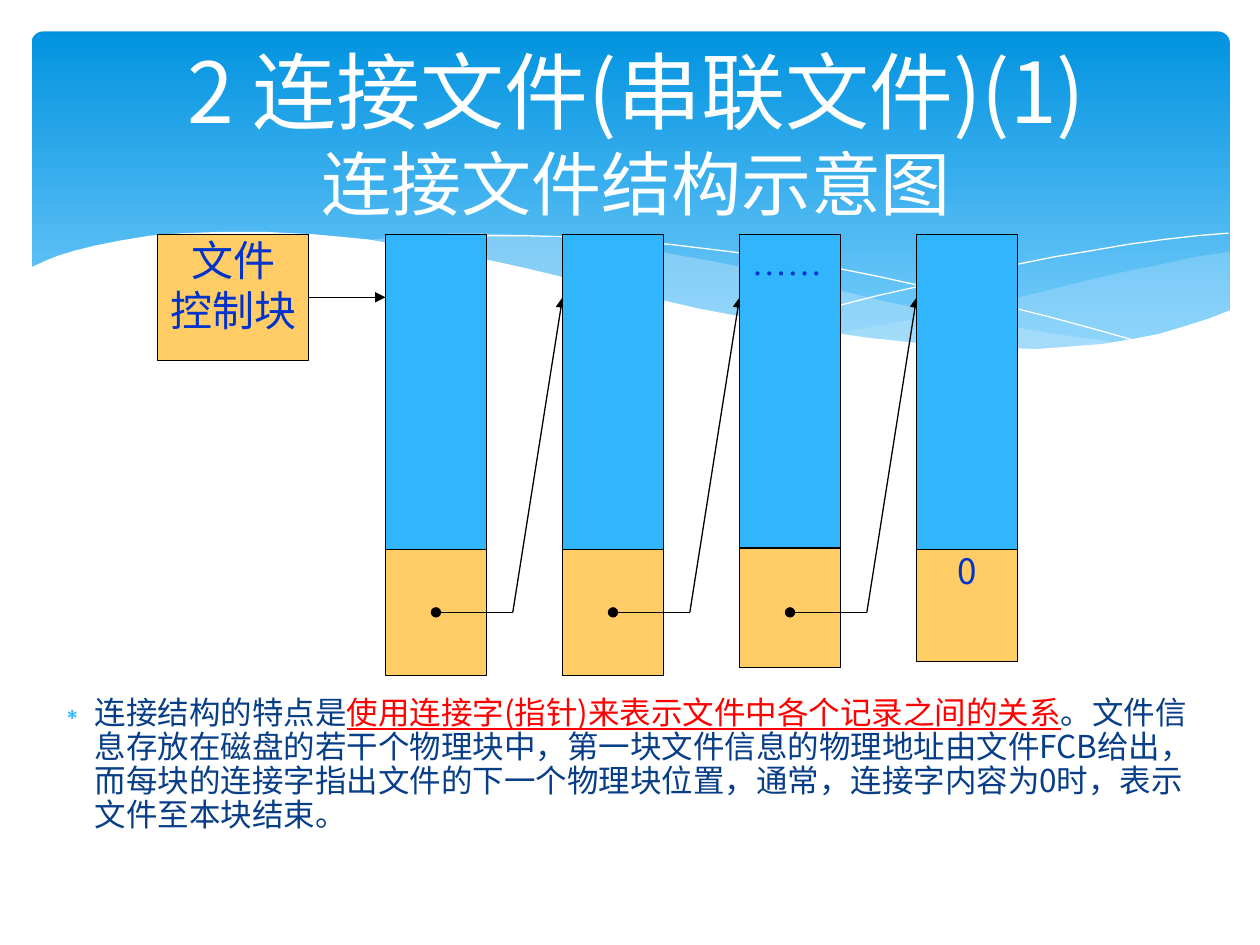
from lxml import etree
from pptx import Presentation
from pptx.dml.color import RGBColor
from pptx.enum.shapes import MSO_CONNECTOR, MSO_SHAPE
from pptx.enum.text import MSO_ANCHOR, MSO_AUTO_SIZE, PP_ALIGN
from pptx.oxml.ns import qn
from pptx.util import Inches, Pt

RECT, ROUNDED = MSO_SHAPE.RECTANGLE, MSO_SHAPE.ROUNDED_RECTANGLE
STRAIGHT = MSO_CONNECTOR.STRAIGHT
LEFT, CENTER, JUSTIFY = PP_ALIGN.LEFT, PP_ALIGN.CENTER, PP_ALIGN.JUSTIFY
TOP, MIDDLE = MSO_ANCHOR.TOP, MSO_ANCHOR.MIDDLE
NO_FIT = MSO_AUTO_SIZE.NONE

WHITE = RGBColor(0xFF, 0xFF, 0xFF)
BLACK = RGBColor(0, 0, 0)
RED = RGBColor(0xFF, 0, 0)
NAVY = RGBColor(0x07, 0x3E, 0x87)
INK = RGBColor(0x00, 0x33, 0xCC)
ORANGE = RGBColor(0xFF, 0xCC, 0x66)
SKY = RGBColor(0x31, 0xB6, 0xFD)
PALE = RGBColor(0xC6, 0xE7, 0xFC)
BAND_TOP = RGBColor(0x02, 0x93, 0xE0)
BAND_BOTTOM = RGBColor(0x83, 0xD3, 0xFE)

SANS, SERIF = "Noto Sans CJK JP", "Times New Roman"

RIGHT_WAVE = [
    (9.75, 2), (9.48, 2.04), (9.21, 2.1), (8.91, 2.16), (8.61, 2.23), (8.05, 2.37),
    (7.53, 2.48), (7.06, 2.57), (6.61, 2.65), (6.91, 2.69), (7.18, 2.73), (7.45, 2.75),
    (7.69, 2.77), (8.03, 2.78), (8.35, 2.77), (8.63, 2.75), (8.89, 2.72), (9.13, 2.67),
    (9.35, 2.62), (9.49, 2.57), (9.63, 2.52), (9.76, 2.47), (9.76, 2)]
MIDDLE_WAVE = [
    (8.93, 2.73), (8.66, 2.69), (8.37, 2.65), (8.07, 2.6), (7.75, 2.54), (7.41, 2.47),
    (7.06, 2.4), (6.68, 2.31), (6.29, 2.22), (5.98, 2.14), (5.69, 2.08), (5.41, 2.03),
    (5.14, 1.98), (4.89, 1.94), (4.64, 1.91), (4.41, 1.89), (4.2, 1.87), (3.99, 1.86),
    (3.8, 1.85), (3.61, 1.85), (3.28, 1.87), (2.86, 1.91), (3.23, 1.96), (3.62, 2.03),
    (4.04, 2.11), (4.49, 2.22), (4.91, 2.32), (5.3, 2.4), (5.66, 2.48), (6.01, 2.55),
    (6.34, 2.61), (6.65, 2.66), (6.95, 2.7), (7.22, 2.74), (7.48, 2.76), (7.73, 2.78),
    (8.07, 2.79), (8.38, 2.78), (8.67, 2.76), (8.93, 2.73)]
FALLING_LINE = [
    (3.09, 1.95), (3.28, 1.92), (3.53, 1.89), (3.87, 1.87), (4.16, 1.87), (4.5, 1.88),
    (4.89, 1.9), (5.32, 1.94), (5.82, 2), (6.08, 2.04), (6.36, 2.08), (6.65, 2.13),
    (6.95, 2.19), (7.27, 2.26), (7.6, 2.33), (7.95, 2.42), (8.31, 2.51), (8.68, 2.61),
    (9.07, 2.72)]
RISING_LINE = [
    (6.13, 2.57), (6.52, 2.46), (6.95, 2.35), (7.48, 2.23), (8.06, 2.1), (8.36, 2.04),
    (8.66, 1.99), (8.95, 1.94), (9.24, 1.9), (9.51, 1.87), (9.75, 1.85)]
WHITE_WAVE = [
    (9.77, 2.46), (9.59, 2.53), (9.4, 2.59), (9.2, 2.65), (8.99, 2.69), (8.75, 2.73),
    (8.5, 2.75), (8.23, 2.77), (7.93, 2.76), (7.61, 2.75), (7.26, 2.72), (6.88, 2.68),
    (6.47, 2.62), (6.03, 2.54), (5.55, 2.45), (5.03, 2.33), (4.47, 2.2), (4.18, 2.13),
    (3.91, 2.07), (3.65, 2.02), (3.39, 1.97), (3.15, 1.94), (2.92, 1.9), (2.71, 1.88),
    (2.5, 1.86), (2.3, 1.85), (2.11, 1.84), (1.76, 1.84), (1.46, 1.85), (1.19, 1.87),
    (0.95, 1.91), (0.75, 1.95), (0.59, 1.99), (0.46, 2.03), (0.36, 2.07), (0.23, 2.13),
    (0.23, 3.29), (9.77, 3.29)]


def add_text(p, text, size=18, font=SANS, color=INK, underline=False):
    r = p.add_run()
    r.text = text
    r.font.size, r.font.name = Pt(size), font
    r.font.color.rgb = color
    r.font.underline = underline
    latin = r.font._element.find(qn("a:latin"))
    latin.addnext(latin.makeelement(qn("a:ea"), {"typeface": font}))


def add_box(slide, x, y, w, h, color, lines=(), align=CENTER, inset=(0, 0), **fmt):
    sp = slide.shapes.add_shape(RECT, Inches(x), Inches(y), Inches(w), Inches(h))
    sp.shadow.inherit = False
    sp.fill.solid()
    sp.fill.fore_color.rgb = color
    sp.line.color.rgb = BLACK
    sp.line.width = Pt(0.75)
    tf = sp.text_frame
    tf.vertical_anchor = TOP
    tf.margin_left = tf.margin_right = Inches(inset[0])
    tf.margin_top = tf.margin_bottom = Inches(inset[1])
    for i, line in enumerate(lines):
        p = tf.add_paragraph() if i else tf.paragraphs[0]
        p.alignment = align
        add_text(p, line, **fmt)


def add_line(slide, start, end, **ends):
    """Draw a line; headEnd or tailEnd names the mark at its start or end."""
    c = slide.shapes.add_connector(STRAIGHT, *map(Inches, start + end))
    c.line.color.rgb = BLACK
    c.line.width = Pt(0.75)
    for tag, kind in ends.items():
        etree.SubElement(c.line._ln, qn("a:" + tag), type=kind)
    etree.SubElement(c._element.spPr, qn("a:effectLst"))


def add_wave(slide, points, color, opacity=100, closed=True):
    """Draw a filled wave, or a hairline curve when not closed."""
    pts = [(Inches(x), Inches(y)) for x, y in points]
    builder = slide.shapes.build_freeform(*pts[0])
    builder.add_line_segments(pts[1:], close=closed)
    sp = builder.convert_to_shape()
    sp.shadow.inherit = False
    if not closed:
        sp.fill.background()
        sp.line.color.rgb = color
        sp.line.width = Pt(0)
        return
    sp.line.fill.background()
    sp.fill.solid()
    sp.fill.fore_color.rgb = color
    if opacity < 100:
        clr = sp._element.spPr.find(qn("a:solidFill"))[0]
        etree.SubElement(clr, qn("a:alpha"), val=str(opacity * 1000))


def add_banner(slide, x, y, w, h):
    sp = slide.shapes.add_shape(ROUNDED, Inches(x), Inches(y), Inches(w), Inches(h))
    sp.adjustments[0] = 0.034
    sp.shadow.inherit = False
    sp.line.fill.background()
    sp.fill.gradient()
    sp.fill.gradient_angle = 270
    for stop, position, color in zip(sp.fill.gradient_stops, (0, 1), (BAND_TOP, BAND_BOTTOM)):
        stop.position, stop.color.rgb = position, color
    add_wave(slide, RIGHT_WAVE, PALE, opacity=29)
    add_wave(slide, MIDDLE_WAVE, PALE, opacity=40)
    for curve in (FALLING_LINE, RISING_LINE):
        add_wave(slide, curve, WHITE, closed=False)
    add_wave(slide, WHITE_WAVE, WHITE)


def place(slide, sp, x, y, w, h, anchor):
    """Move a placeholder into its box, in front of what is already drawn."""
    slide.shapes._spTree.append(sp._element)
    sp.left, sp.top, sp.width, sp.height = map(Inches, (x, y, w, h))
    tf = sp.text_frame
    tf.auto_size, tf.word_wrap, tf.vertical_anchor = NO_FIT, True, anchor
    return tf.paragraphs[0]


def fill_title(slide, sp, *box):
    p = place(slide, sp, *box, MIDDLE)
    p.alignment = CENTER
    add_text(p, "2 连接文件(串联文件)(1)", size=48, color=WHITE)
    p.add_line_break()
    add_text(p, "连接文件结构示意图", size=40, color=WHITE)


def add_chain(slide, x, y):
    """Draw the control block and the chain of records, each with its pointer."""
    first, step, width = x + 1.81, 1.405, 0.8
    arrow_y, link_y = y + 0.5, y + 3
    add_box(slide, x, y, 1.2, 1, ORANGE, ["文件", "控制块"], size=24)
    add_line(slide, (x + 1.2, arrow_y), (first, arrow_y), tailEnd="triangle")
    # data height, data text, pointer offset, pointer height, pointer text
    records = [(2.5, [], 2.5, 1, []), (2.5, [], 2.5, 1, []),
               (2.49, ["……"], 2.44, 1, []), (2.5, [], 2.5, 0.89, ["0"])]
    for i, (data_h, data, offset, pointer_h, pointer) in enumerate(records):
        left = first + i * step
        add_box(slide, left, y + offset, width, pointer_h, ORANGE, pointer, size=20)
        add_box(slide, left, y, width, data_h, SKY, data, JUSTIFY, (0.1, 0.05),
                size=20, font=SERIF)
        if i < len(records) - 1:
            bend = (left + 1.01, link_y)
            add_line(slide, (left + width / 2, link_y), bend, headEnd="oval")
            add_line(slide, bend, (left + step, arrow_y), tailEnd="triangle")


def fill_body(slide, sp, *box):
    p = place(slide, sp, *box, TOP)
    sp.fill.solid()
    sp.fill.fore_color.rgb = WHITE
    p.alignment, p.line_spacing, p.space_before = LEFT, 0.9, Pt(4.5)
    pPr = p._p.get_or_add_pPr()
    indent = Inches(0.3)
    pPr.set("marL", str(indent))
    pPr.set("indent", str(-indent))
    etree.SubElement(etree.SubElement(pPr, qn("a:buClr")), qn("a:srgbClr"), val=str(SKY))
    etree.SubElement(pPr, qn("a:buFont"), typeface=SERIF)
    etree.SubElement(pPr, qn("a:buChar"), char="∗")
    add_text(p, "连接结构的特点是", color=NAVY)
    add_text(p, "使用连接字(指针)来表示文件中各个记录之间的关系", color=RED, underline=True)
    add_text(p, "。文件信息存放在磁盘的若干个物理块中，第一块文件信息的物理地址由文件FCB给出，"
                "而每块的连接字指出文件的下一个物理块位置，通常，连接字内容为0时，"
                "表示文件至本块结束。", color=NAVY)


def main():
    prs = Presentation()
    prs.slide_width, prs.slide_height = Inches(10), Inches(7.5)
    slide = prs.slides.add_slide(prs.slide_layouts[1])
    title, body = slide.placeholders
    add_banner(slide, 0.25, 0.25, 9.51, 2.7)
    fill_title(slide, title, 0.35, 0.28, 9.4, 1.53)
    add_chain(slide, 1.25, 1.86)
    fill_body(slide, body, 0.35, 5.48, 9.37, 1.81)
    prs.save("out.pptx")


if __name__ == "__main__":
    main()
